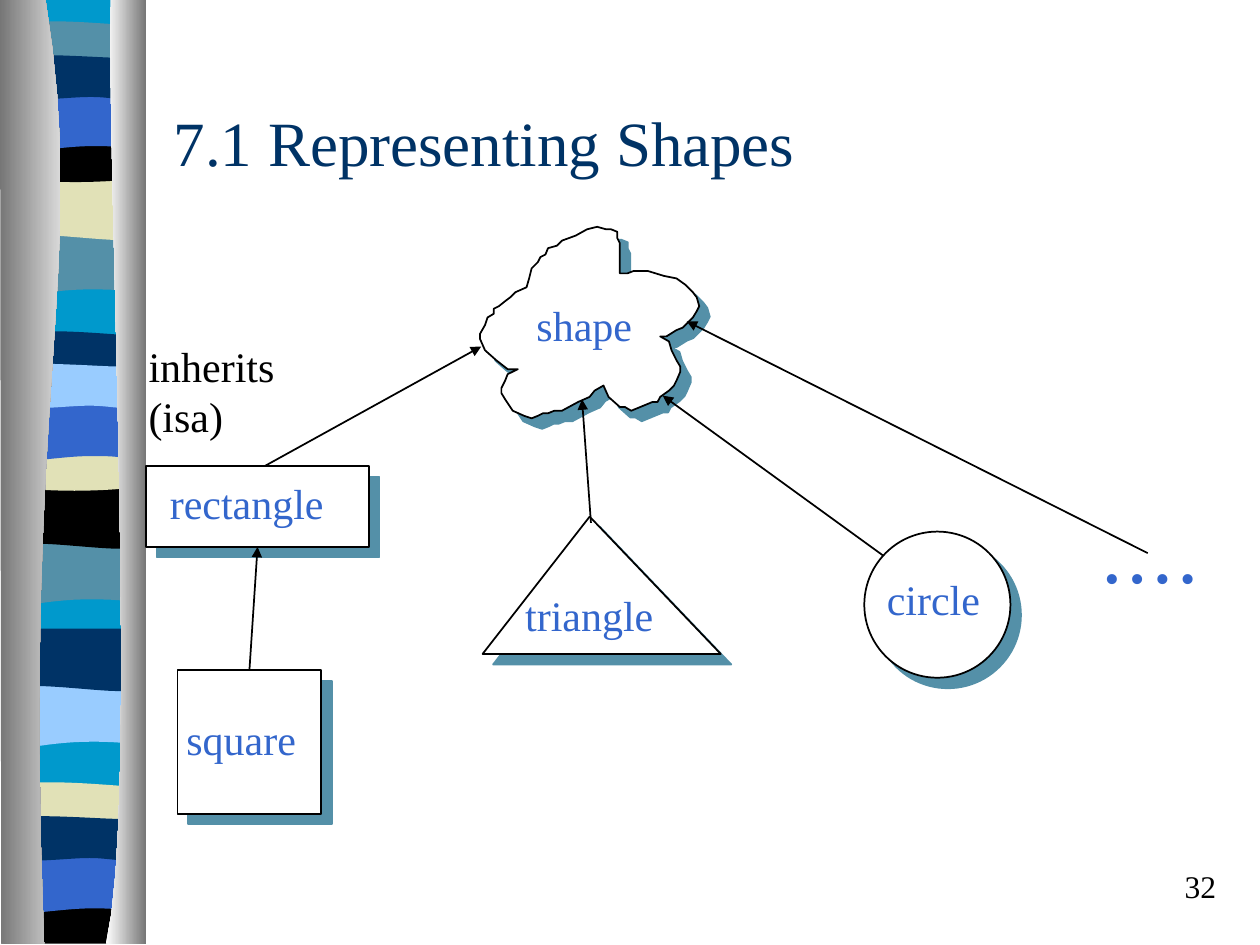
import pptx
import pptx.dml.color
import pptx.enum.shapes
import pptx.enum.text
import pptx.oxml
import pptx.oxml.ns
import pptx.util

Pt = pptx.util.Pt
KIND = pptx.enum.shapes.MSO_SHAPE
ALIGN = pptx.enum.text.PP_ALIGN
ANCHOR = pptx.enum.text.MSO_ANCHOR

THEME = dict(
    font="Times New Roman", title=36, label=24, number=18,
    white="FFFFFF", black="000000", navy="003366", blue="3366CC", teal="5490A8",
    cyan="0099CC", sky="99CCFF", sand="E1E1B7", dark="767676", pale="D9D9D9",
)

# Outlines are drawn on a grid of 0.72 pt; a six-number step is a curve.
GRID = 0.72
BANDS = {
    "sheet": [(108, 0), (108, 748), (0, 748), (0, 0)],
    "swell": [(108, 0), (108, 47), (33, 39, 18, 55, 0, 47), (0, 0)],
    "sag": [(108, 0), (108, 47), (90, 55, 33, 41, 0, 47), (0, 0)],
    "lens": [(108, 5), (108, 29), (90, 33, 18, 33, 0, 29), (0, 5),
             (6, 0, 23, 1, 41, 1), (59, 1, 94, 4, 108, 5)],
    "dip": [(108, 0), (108, 32), (90, 38, 18, 38, 0, 32), (0, 0),
            (66, 5, 85, 0, 108, 0)],
    "arch": [(108, 0), (108, 47), (91, 42, 84, 42, 66, 42),
             (48, 42, 16, 47, 0, 47), (0, 0)],
    "flag": [(108, 5), (108, 36), (101, 41, 84, 36, 66, 36),
             (48, 36, 11, 41, 0, 36), (0, 5), (15, 0, 73, 5, 91, 5),
             (109, 5, 104, 5, 108, 5)],
    "floor": [(108, 0), (108, 37), (0, 37), (0, 0), (66, 5, 85, 0, 108, 0)],
}
RIBBON = [
    ("sheet", 6, -1, "cyan"),
    ("swell", 6, 185, "teal"), ("sag", 6, 141, "sand"), ("lens", 6, 16, "teal"),
    ("dip", 6, 108, "black"), ("arch", 6, 74, "blue"), ("flag", 6, 41, "navy"),
    ("swell", 5, 431, "teal"), ("sag", 5, 386, "black"), ("lens", 5, 262, "navy"),
    ("dip", 5, 353, "sand"), ("arch", 5, 320, "blue"), ("flag", 5, 286, "sky"),
    ("swell", 6, 544, "sky"), ("sag", 6, 499, "navy"), ("lens", 5, 620, "sand"),
    ("floor", 5, 712, "black"), ("arch", 5, 679, "blue"), ("flag", 5, 645, "navy"),
]
CURTAINS = [
    ([(36, -1), (71, 216, 17, 296, 35, 749), (1, 749), (0, -1)], "dark", "pale"),
    ([(88, -1), (84, 125, 111, 646, 84, 749), (116, 749), (116, 0)], "white", "dark"),
]
CLOUD = [
    (420, 221), (422, 213), (427, 208), (429, 204), (433, 202), (435, 197),
    (442, 195), (446, 191), (457, 187), (466, 182), (474, 180), (481, 182),
    (485, 182), (490, 184), (490, 189), (492, 193), (492, 217), (498, 217),
    (503, 215), (514, 215), (527, 219), (537, 221), (544, 226), (550, 232),
    (553, 236), (555, 243), (553, 247), (550, 252), (542, 260), (537, 262),
    (529, 267), (524, 267), (531, 271), (533, 278), (537, 286), (540, 291),
    (540, 295), (537, 302), (535, 306), (531, 310), (524, 315), (522, 319),
    (518, 319), (501, 326), (496, 323), (492, 323), (483, 315), (479, 306),
    (472, 310), (468, 315), (459, 319), (446, 326), (440, 326), (435, 328),
    (431, 328), (427, 330), (422, 332), (416, 330), (407, 326), (401, 317),
    (398, 312), (398, 308), (401, 302), (403, 297), (411, 293), (403, 293),
    (394, 286), (385, 278), (381, 269), (381, 265), (385, 258), (387, 252),
    (392, 249), (392, 245), (396, 243), (401, 239), (405, 236), (409, 232),
    (418, 228),
]
TRIANGLE = [(572, 519), (383, 519), (468, 410)]

FIGURES = {
    "rectangle": (KIND.RECTANGLE, 83.5, 266.4, 127.4, 46.1),
    "square": (KIND.RECTANGLE, 101.5, 383, 82.1, 82.1),
    "circle": (KIND.OVAL, 493.9, 303.8, 83.5, 83.5),
}
LABELS = [
    ("shape", 299.5, 167.8, 69.1, "blue"),
    ("rectangle", 90, 269.3, 102.2, "blue"),
    ("square", 99.4, 403.9, 77, "blue"),
    ("triangle", 293, 333.4, 87.8, "blue"),
    ("circle", 499.7, 324, 67.7, "blue"),
    ("• • • •", 624.2, 311.8, 80.6, "blue"),
    ("inherits (isa)", 77.8, 190.8, 134.6, "black"),
]
ARROWS = [
    (151.2, 266.4, 275, 198), (337.7, 298.8, 332.6, 228.2),
    (504.7, 317.5, 378.7, 226.1), (655.9, 316.1, 392.4, 183.6),
]


def color(name):
    return pptx.dml.color.RGBColor.from_string(THEME[name])


def flatten(steps, pieces=16):
    points = [steps[0]]
    for step in steps[1:]:
        if len(step) == 2:
            points.append(step)
            continue
        knots = [points[-1], step[:2], step[2:4], step[4:]]
        for piece in range(1, pieces + 1):
            t = piece / pieces
            weights = ((1 - t) ** 3, 3 * t * (1 - t) ** 2, 3 * t * t * (1 - t), t ** 3)
            points.append(tuple(sum(w * k[axis] for w, k in zip(weights, knots))
                                for axis in (0, 1)))
    return points


def add_outline(page, steps, left=0, top=0):
    points = [(Pt(GRID * (x + left)), Pt(GRID * (y + top))) for x, y in flatten(steps)]
    builder = page.shapes.build_freeform(*points[0])
    builder.add_line_segments(points[1:], close=True)
    outline = builder.convert_to_shape()
    outline.shadow.inherit = False
    outline.line.fill.background()
    return outline


def style_figure(figure):
    figure.shadow.inherit = False
    figure.fill.solid()
    figure.fill.fore_color.rgb = color("white")
    figure.line.color.rgb = color("black")
    figure.line.width = Pt(1)
    effects = figure._element.spPr.find(pptx.oxml.ns.qn("a:effectLst"))
    effects.append(pptx.oxml.parse_xml(
        f'<a:outerShdw {pptx.oxml.ns.nsdecls("a")} dist="{Pt(8.5)}" dir="2700000" '
        f'algn="ctr" rotWithShape="0"><a:srgbClr val="{THEME["teal"]}"/></a:outerShdw>'))


def add_text(page, text, left, top, width, height, size, tint,
             wrap=False, align=ALIGN.LEFT, anchor=ANCHOR.TOP):
    box = page.shapes.add_textbox(Pt(left), Pt(top), Pt(width), Pt(height))
    frame = box.text_frame
    frame.word_wrap = wrap
    frame.vertical_anchor = anchor
    para = frame.paragraphs[0]
    para.text = text
    para.alignment = align
    para.font.name = THEME["font"]
    para.font.size = Pt(THEME[size])
    para.font.color.rgb = color(tint)


def add_arrow(page, *ends):
    arrow = page.shapes.add_connector(pptx.enum.shapes.MSO_CONNECTOR.STRAIGHT,
                                      *[Pt(end) for end in ends])
    arrow.line.color.rgb = color("black")
    arrow.line.width = Pt(1)
    names = pptx.oxml.ns.nsdecls("a")
    arrow.line._get_or_add_ln().append(
        pptx.oxml.parse_xml(f'<a:tailEnd {names} type="triangle"/>'))
    arrow._element.spPr.append(pptx.oxml.parse_xml(f"<a:effectLst {names}/>"))
    return arrow


def main():
    deck = pptx.Presentation()
    deck.slide_width, deck.slide_height = Pt(720), Pt(540)
    page = deck.slides.add_slide(deck.slide_layouts[6])

    for band, left, top, tint in RIBBON:
        outline = add_outline(page, BANDS[band], left, top)
        outline.fill.solid()
        outline.fill.fore_color.rgb = color(tint)
    for steps, *tints in CURTAINS:
        curtain = add_outline(page, steps)
        curtain.fill.gradient()
        curtain.fill.gradient_angle = 0
        for stop, tint in zip(curtain.fill.gradient_stops, tints):
            stop.color.rgb = color(tint)

    add_text(page, "32", 552.2, 491.8, 149.8, 36, "number", "black",
             wrap=True, align=ALIGN.RIGHT)
    add_text(page, "7.1 Representing Shapes", 92.2, 36, 612, 90, "title", "navy",
             wrap=True, anchor=ANCHOR.MIDDLE)

    for steps in (CLOUD, TRIANGLE):
        style_figure(add_outline(page, steps))
    figures = {}
    for name, (kind, *place) in FIGURES.items():
        figures[name] = page.shapes.add_shape(kind, *[Pt(length) for length in place])
        style_figure(figures[name])
    for text, left, top, width, tint in LABELS:
        add_text(page, text, left, top, width, 36, "label", tint)

    for ends in ARROWS:
        add_arrow(page, *ends)
    link = add_arrow(page, 143.3, 383, 145.4, 312)
    link.begin_connect(figures["square"], 0)
    link.end_connect(figures["rectangle"], 2)

    deck.save("out.pptx")


if __name__ == "__main__":
    main()
